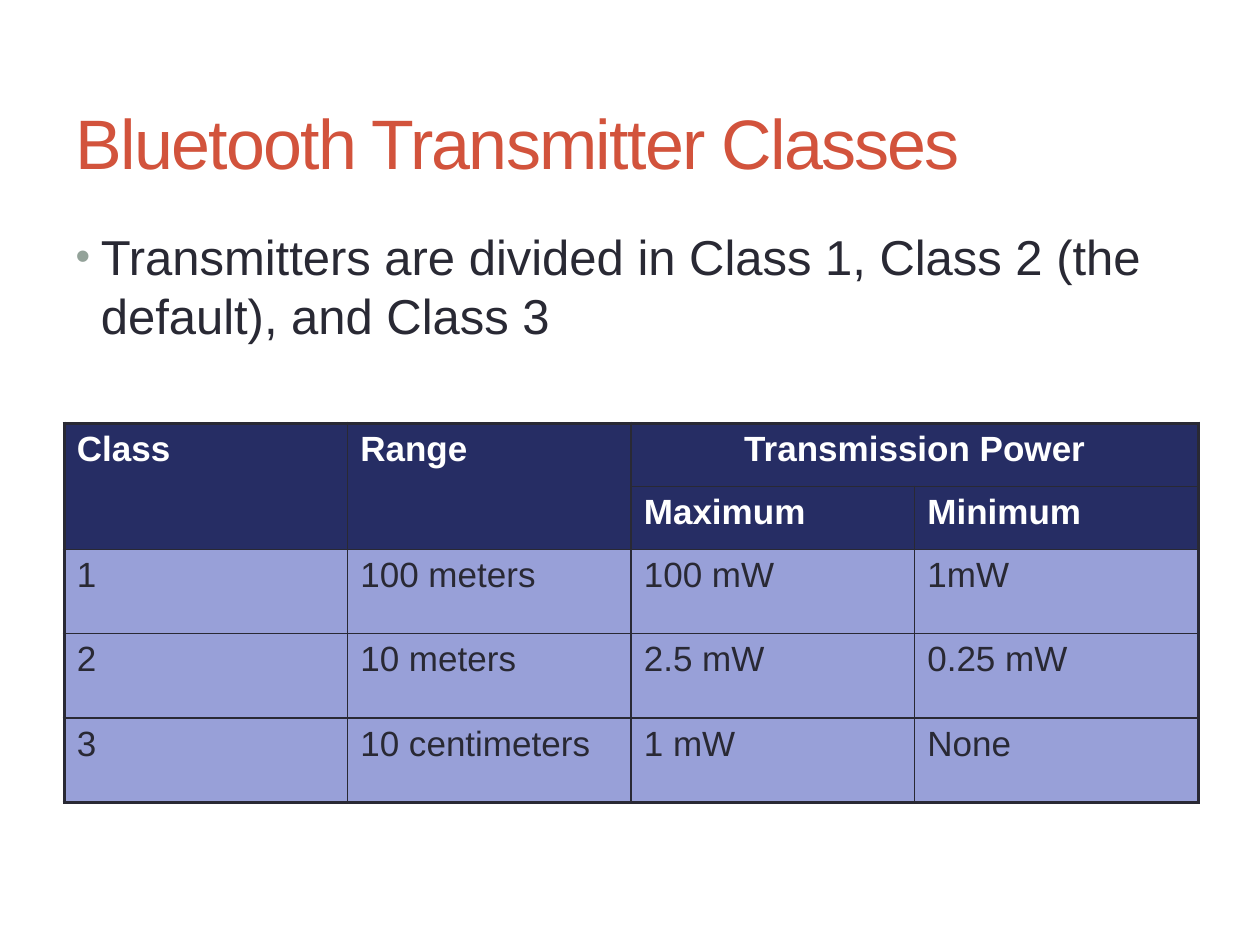
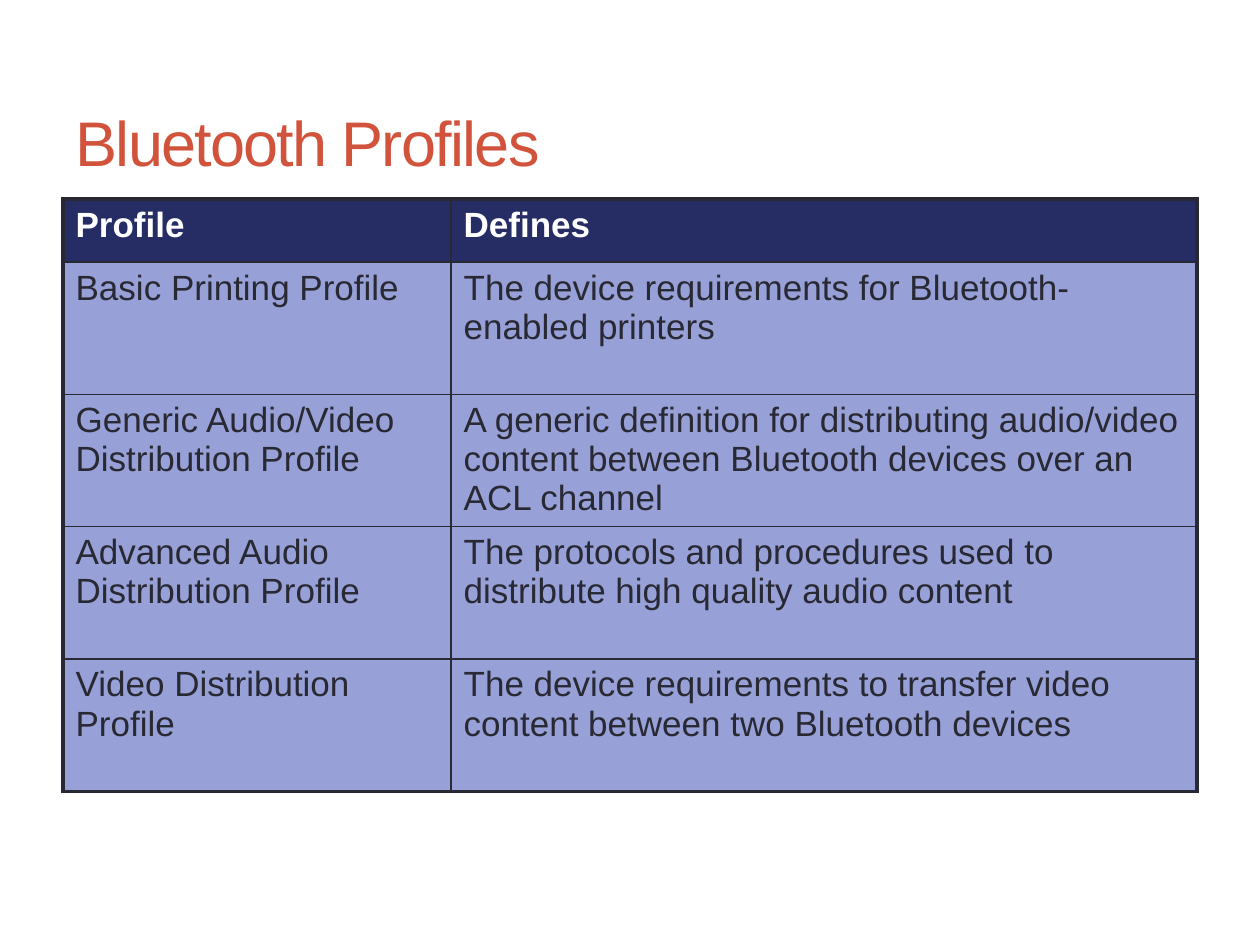
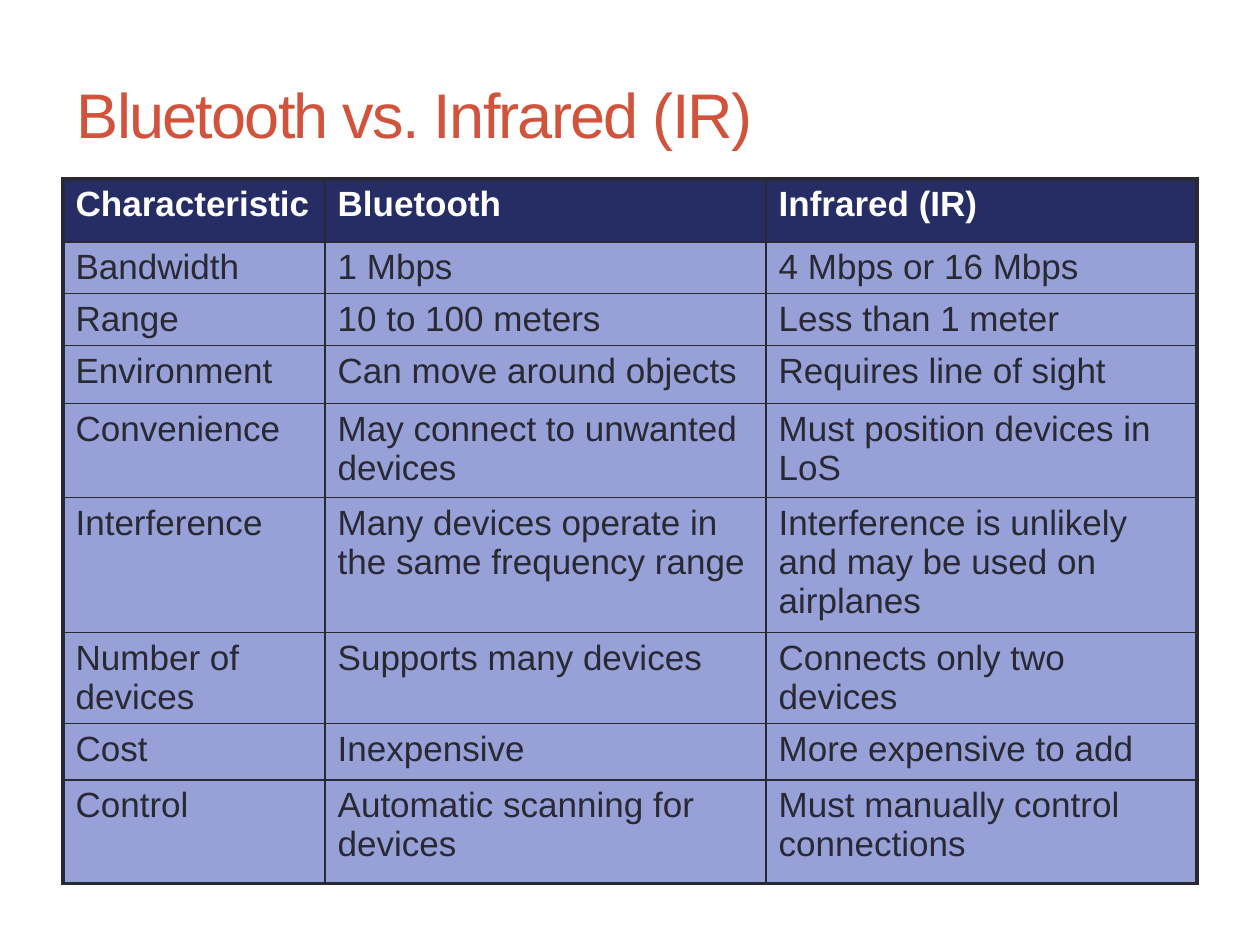
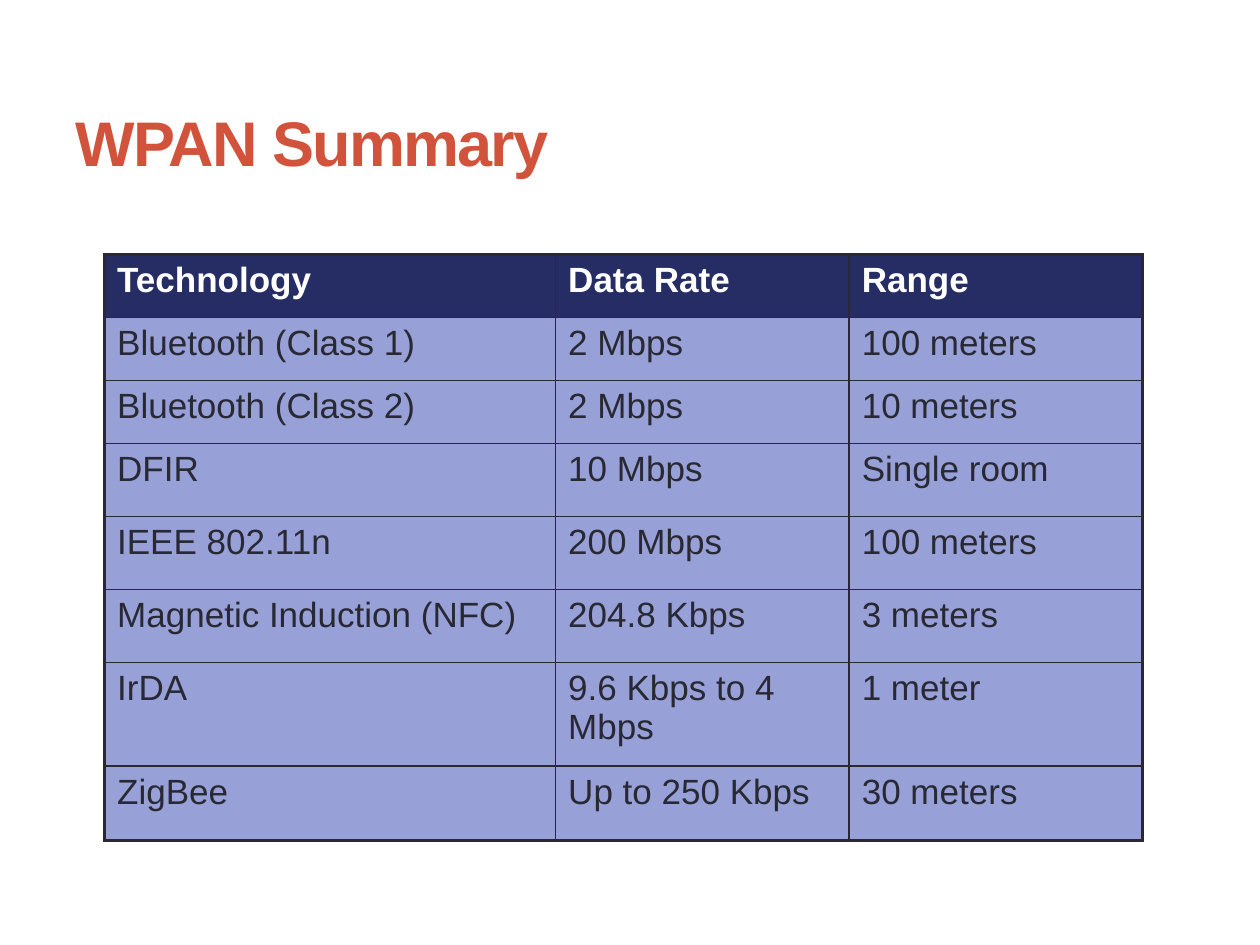
"""Build four slides on Bluetooth and WPAN technologies."""
from lxml import etree
from pptx import Presentation
from pptx.dml.color import RGBColor
from pptx.enum.text import MSO_ANCHOR, PP_ALIGN
from pptx.oxml.ns import qn
from pptx.util import Inches, Pt

LEFT, CENTER = PP_ALIGN.LEFT, PP_ALIGN.CENTER
MIDDLE, TOP = MSO_ANCHOR.MIDDLE, MSO_ANCHOR.TOP
FONT = "Arial"
COLORS = {
    "title": "D2533C",
    "ink": "292934",
    "bullet": "93A299",
    "header": "262D64",
    "header_text": "FFFFFF",
    "row": "98A0D8",
}
TITLE_ONLY, TITLE_AND_BODY = 5, 1
OUTER_LINE, INNER_LINE = Pt(2.25), Pt(1)

SLIDES = [
    {
        "title": "Bluetooth Transmitter Classes",
        "title_size": 40,
        "body": "Transmitters are divided in Class 1, Class 2 (the default), and Class 3",
        "table_at": (0.51, 3.36),
        "columns": [2.25] * 4,
        "heights": [0.5] * 2 + [0.67] * 3,
        "header_rows": 2,
        "merges": [(0, 0, 1, 0), (0, 1, 1, 1), (0, 2, 0, 3)],
        "rows": [
            ("Class", "Range", "Transmission Power", ""),
            ("", "", "Maximum", "Minimum"),
            ("1", "100 meters", "100 mW", "1mW"),
            ("2", "10 meters", "2.5 mW", "0.25 mW"),
            ("3", "10 centimeters", "1 mW", "None"),
        ],
    },
    {
        "title": "Bluetooth Profiles",
        "table_at": (0.5, 1.58),
        "columns": [3.08, 5.92],
        "heights": [0.5] + [1.05] * 4,
        "rows": [
            ("Profile", "Defines"),
            ("Basic Printing Profile",
             "The device requirements for Bluetooth-enabled printers"),
            ("Generic Audio/Video Distribution Profile",
             "A generic definition for distributing audio/video content between "
             "Bluetooth devices over an ACL channel"),
            ("Advanced Audio Distribution Profile",
             "The protocols and procedures used to distribute high quality audio content"),
            ("Video Distribution Profile",
             "The device requirements to transfer video content between two "
             "Bluetooth devices"),
        ],
    },
    {
        "title": "Bluetooth vs. Infrared (IR)",
        "title_at": (0.51, 0.36),
        "table_at": (0.5, 1.42),
        "columns": [2.08, 3.5, 3.42],
        "heights": [0.5, 0.41, 0.41, 0.46, 0.75, 1.07, 0.72, 0.45, 0.82],
        "rows": [
            ("Characteristic", "Bluetooth", "Infrared (IR)"),
            ("Bandwidth", "1 Mbps", "4 Mbps or 16 Mbps"),
            ("Range", "10 to 100 meters", "Less than 1 meter"),
            ("Environment", "Can move around objects", "Requires line of sight"),
            ("Convenience", "May connect to unwanted devices",
             "Must position devices in LoS"),
            ("Interference", "Many devices operate in the same frequency range",
             "Interference is unlikely and may be used on airplanes"),
            ("Number of devices", "Supports many devices", "Connects only two devices"),
            ("Cost", "Inexpensive", "More expensive to add"),
            ("Control", "Automatic scanning for devices",
             "Must manually control connections"),
        ],
    },
    {
        "title": "WPAN Summary",
        "title_bold": True,
        "table_at": (0.83, 2.02),
        "columns": [3.58, 2.33, 2.33],
        "heights": [0.5] * 3 + [0.58] * 3 + [0.82, 0.59],
        "rows": [
            ("Technology", "Data Rate", "Range"),
            ("Bluetooth (Class 1)", "2 Mbps", "100 meters"),
            ("Bluetooth (Class 2)", "2 Mbps", "10 meters"),
            ("DFIR", "10 Mbps", "Single room"),
            ("IEEE 802.11n", "200 Mbps", "100 meters"),
            ("Magnetic Induction (NFC)", "204.8 Kbps", "3 meters"),
            ("IrDA", "9.6 Kbps to 4 Mbps", "1 meter"),
            ("ZigBee", "Up to 250 Kbps", "30 meters"),
        ],
    },
]


def style(paragraph, size, color, bold=False, align=LEFT):
    paragraph.alignment = align
    paragraph.space_before = Pt(0)
    font = paragraph.font
    font.name, font.size, font.bold = FONT, Pt(size), bold
    font.color.rgb = RGBColor.from_string(COLORS[color])


def place(shape, left, top, width, height):
    shape.left, shape.top = Inches(left), Inches(top)
    shape.width, shape.height = Inches(width), Inches(height)


def add_title(slide, content):
    title = slide.shapes.title
    place(title, *content.get("title_at", (0.5, 0.58)), 9, 1.08)
    frame = title.text_frame
    frame.text = content["title"]
    frame.vertical_anchor = MIDDLE
    heading = frame.paragraphs[0]
    style(heading, content.get("title_size", 36), "title", content.get("title_bold", False))
    heading._p.pPr.find(qn("a:defRPr")).set("spc", "-100")


def add_body(slide, text):
    body = slide.placeholders[1]
    place(body, 0.5, 1.75, 9, 5.33)
    frame = body.text_frame
    frame.text = text
    frame.vertical_anchor = TOP
    statement = frame.paragraphs[0]
    properties = statement._p.get_or_add_pPr()
    properties.set("marL", str(Inches(0.2)))
    properties.set("indent", str(-Inches(0.2)))
    bullet_color = etree.SubElement(properties, qn("a:buClr"))
    etree.SubElement(bullet_color, qn("a:srgbClr"), val=COLORS["bullet"])
    etree.SubElement(properties, qn("a:buSzPct"), val="85000")
    etree.SubElement(properties, qn("a:buFont"), typeface=FONT)
    etree.SubElement(properties, qn("a:buChar"), char="•")
    style(statement, 28, "ink")


def set_borders(cell, outer_sides):
    properties = cell._tc.get_or_add_tcPr()
    for side in "LRTB":
        width = OUTER_LINE if side in outer_sides else INNER_LINE
        line = etree.SubElement(properties, qn(f"a:ln{side}"), w=str(width))
        fill = etree.SubElement(line, qn("a:solidFill"))
        etree.SubElement(fill, qn("a:srgbClr"), val=COLORS["ink"])


def add_grid(slide, content):
    rows, columns, heights = content["rows"], content["columns"], content["heights"]
    left, top = content["table_at"]
    table = slide.shapes.add_table(
        len(rows), len(columns), Inches(left), Inches(top),
        Inches(sum(columns)), Inches(sum(heights))).table
    for column, width in zip(table.columns, columns):
        column.width = Inches(width)
    for row, height in zip(table.rows, heights):
        row.height = Inches(height)
    for first_row, first_col, last_row, last_col in content.get("merges", []):
        table.cell(first_row, first_col).merge(table.cell(last_row, last_col))
    for r, row in enumerate(rows):
        is_header = r < content.get("header_rows", 1)
        for c, text in enumerate(row):
            cell = table.cell(r, c)
            edges = {
                "L": c == 0,
                "R": c + cell.span_width == len(columns),
                "T": r == 0,
                "B": r + cell.span_height == len(rows),
            }
            set_borders(cell, [side for side, outer in edges.items() if outer])
            cell.fill.solid()
            cell.fill.fore_color.rgb = RGBColor.from_string(
                COLORS["header" if is_header else "row"])
            cell.text = text
            style(cell.text_frame.paragraphs[0], 20,
                  "header_text" if is_header else "ink", is_header,
                  CENTER if cell.span_width > 1 else LEFT)


def main():
    deck = Presentation()
    deck.slide_width, deck.slide_height = Inches(10), Inches(7.5)
    for content in SLIDES:
        layout = TITLE_AND_BODY if "body" in content else TITLE_ONLY
        slide = deck.slides.add_slide(deck.slide_layouts[layout])
        add_title(slide, content)
        if "body" in content:
            add_body(slide, content["body"])
        add_grid(slide, content)
    deck.save("out.pptx")


if __name__ == "__main__":
    main()
